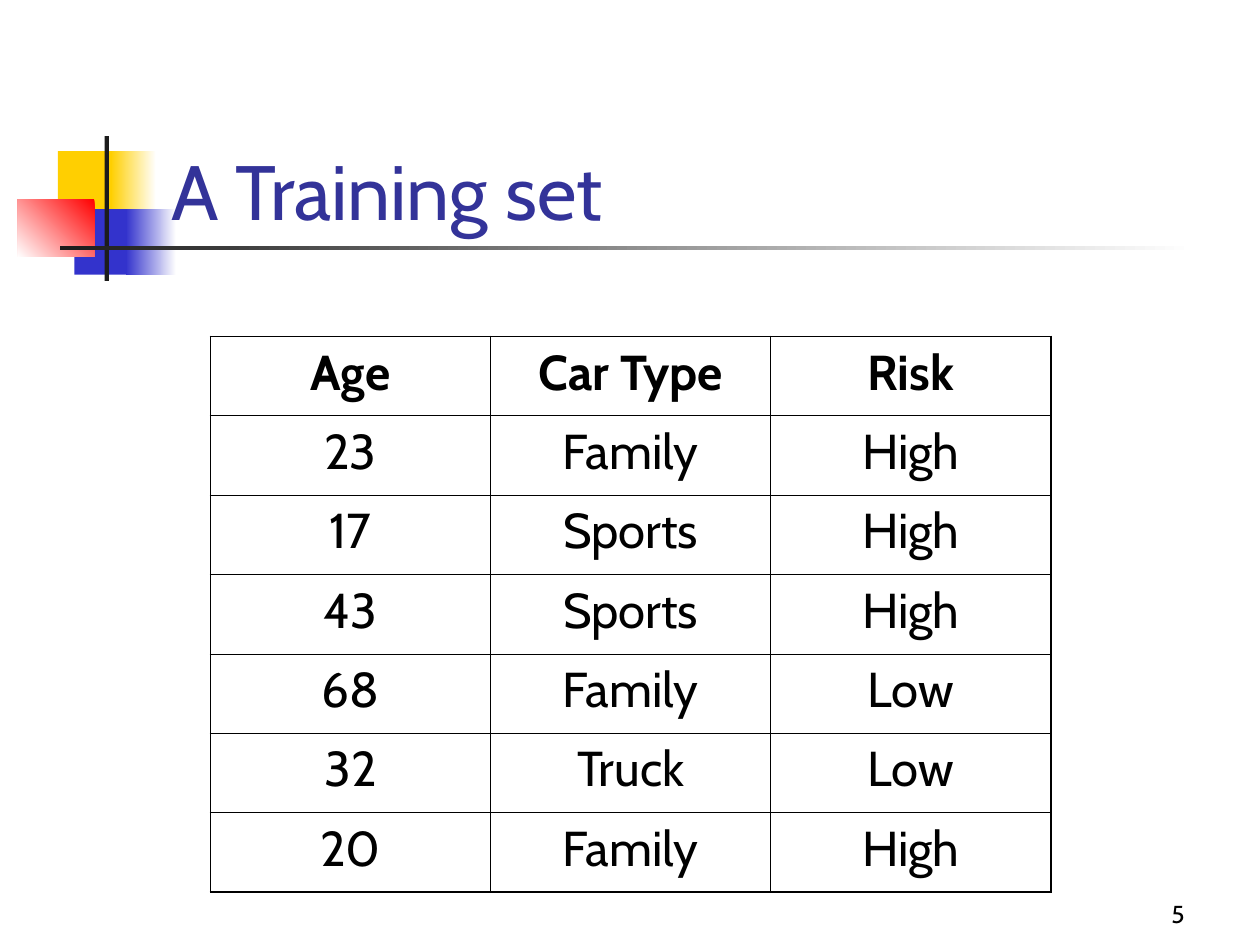
from dataclasses import dataclass

from lxml import etree
from pptx import Presentation
from pptx.dml import color
from pptx.enum import shapes, text
from pptx.oxml import ns
from pptx.util import Inches, Pt


@dataclass(frozen=True)
class Theme:
    font: str = "Cabin"
    white: str = "FFFFFF"
    black: str = "000000"
    title: str = "333399"
    yellow: str = "FFCF01"
    blue: str = "3333CC"
    red: str = "FF0000"
    charcoal: str = "1C1C1C"
    title_size: int = 44
    table_size: int = 28
    number_size: int = 14
    outer_line: float = 1.08
    inner_line: float = 0.45


theme = Theme()
presentation = Presentation()
presentation.slide_width = Inches(10)
presentation.slide_height = Inches(7.5)
slide = presentation.slides.add_slide(presentation.slide_layouts[6])
column = presentation.slide_width // 100
row = presentation.slide_height // 75


def grid(left, top, width, height):
    return [round(value * unit) for value, unit in
            zip((left, top, width, height), (column, row, column, row))]


def write(frame, words, size, ink, alignment, bold=False):
    paragraph = frame.paragraphs[0]
    paragraph.text = words
    paragraph.alignment = alignment
    for name, value in {"name": theme.font, "size": Pt(size), "bold": bold}.items():
        setattr(paragraph.font, name, value)
    paragraph.font.color.rgb = color.RGBColor.from_string(ink)


ornaments = [
    ((4.6, 12, 4.8, 5.2), [theme.yellow], 0),
    ((8.8, 12, 3.6, 5.2), [theme.white, theme.yellow], 180),
    ((5.9, 16.6, 4.6, 5.2), [theme.blue], 0),
    ((10, 16.6, 4, 5.2), [theme.white, theme.blue], 180),
    ((1.4, 15.8, 6.1, 4.6), [theme.red, theme.white], 225),
    ((8.3, 10.8, 0.35, 11.5), [theme.charcoal], 0),
    ((4.8, 19.5, 90, 0.35), [theme.white, theme.charcoal], 180),
]
for place, inks, angle in ornaments:
    shape = slide.shapes.add_shape(shapes.MSO_SHAPE.RECTANGLE, *grid(*place))
    shape.shadow.inherit = False
    shape.line.fill.background()
    if len(inks) == 1:
        shape.fill.solid()
        shape.fill.fore_color.rgb = color.RGBColor.from_string(inks[0])
    else:
        shape.fill.gradient()
        shape.fill.gradient_angle = angle
        for stop, ink in zip(shape.fill.gradient_stops, inks):
            stop.color.rgb = color.RGBColor.from_string(ink)

labels = [
    ((12.6, 6.7, 85.2, 12.5), "A Training set", theme.title_size, theme.title, text.PP_ALIGN.LEFT),
    ((74.2, 69.2, 20.8, 5), "5", theme.number_size, theme.black, text.PP_ALIGN.RIGHT),
]
for place, words, size, ink, alignment in labels:
    frame = slide.shapes.add_textbox(*grid(*place)).text_frame
    frame.word_wrap = True
    frame.vertical_anchor = text.MSO_ANCHOR.BOTTOM
    write(frame, words, size, ink, alignment)

records = [
    ("Age", "Car Type", "Risk"),
    ("23", "Family", "High"),
    ("17", "Sports", "High"),
    ("43", "Sports", "High"),
    ("68", "Family", "Low"),
    ("32", "Truck", "Low"),
    ("20", "Family", "High"),
]
last_row, last_column = len(records) - 1, len(records[0]) - 1
table = slide.shapes.add_table(
    len(records), len(records[0]), *grid(16.7, 26.7, 66.7, 44.1)).table
table.first_row = False
table.horz_banding = False
for table_row in table.rows:
    table_row.height = round(6.3 * row)

for row_index, record in enumerate(records):
    for column_index, words in enumerate(record):
        cell = table.cell(row_index, column_index)
        cell.fill.background()
        write(cell.text_frame, words, theme.table_size, theme.black,
              text.PP_ALIGN.CENTER, bold=row_index == 0)
        properties = cell._tc.get_or_add_tcPr()
        outer_edges = {
            "a:lnL": column_index == 0,
            "a:lnR": column_index == last_column,
            "a:lnT": row_index == 0,
            "a:lnB": row_index == last_row,
        }
        for position, (edge, is_outer) in enumerate(outer_edges.items()):
            width = theme.outer_line if is_outer else theme.inner_line
            border = etree.Element(ns.qn(edge), w=str(int(Pt(width))))
            fill = etree.SubElement(border, ns.qn("a:solidFill"))
            etree.SubElement(fill, ns.qn("a:srgbClr"), val=theme.black)
            properties.insert(position, border)

presentation.save("out.pptx")
